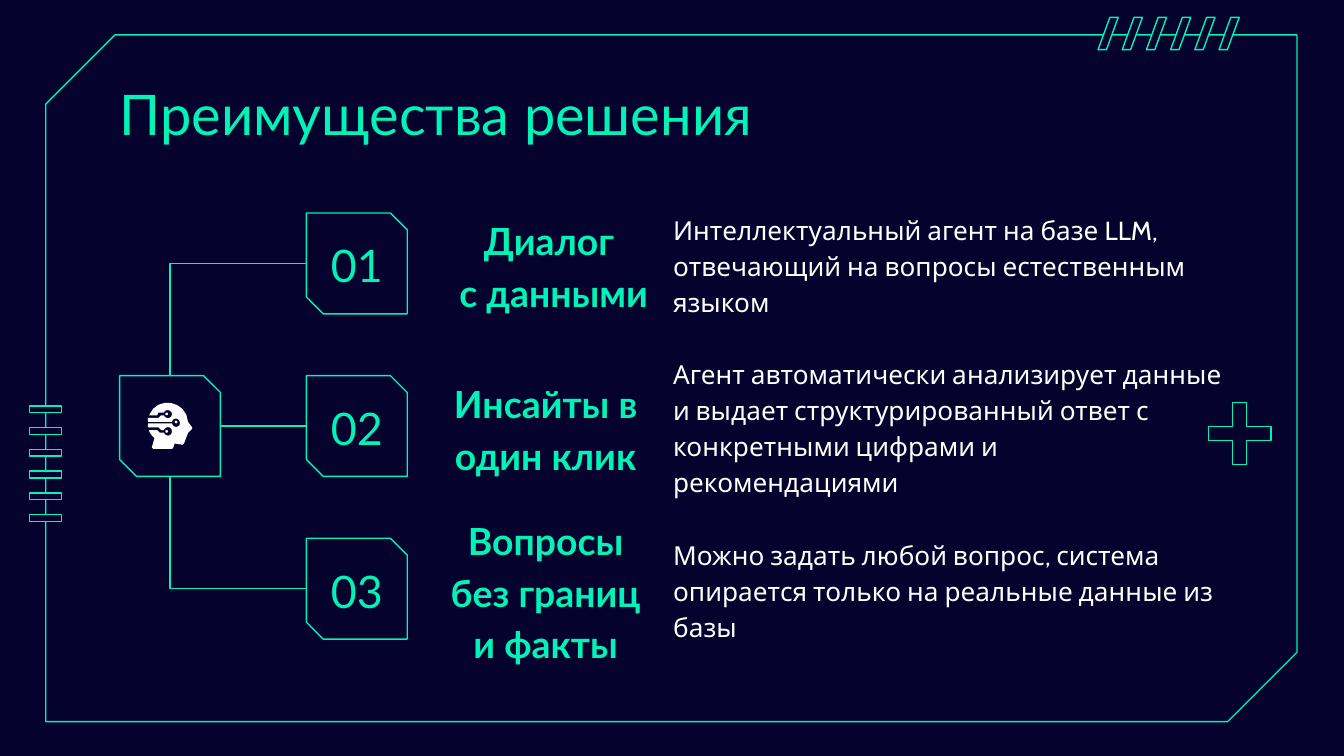
from lxml.etree import SubElement
from pptx import Presentation
from pptx.dml.color import RGBColor
from pptx.enum.shapes import MSO_CONNECTOR, MSO_SHAPE
from pptx.enum.text import MSO_ANCHOR, MSO_AUTO_SIZE, PP_ALIGN
from pptx.oxml.ns import qn
from pptx.util import Inches, Pt

NAVY = RGBColor(0x05, 0x02, 0x2D)
MINT = RGBColor(0x00, 0xF3, 0xB8)
WHITE = RGBColor(0xFF, 0xFF, 0xFF)

# Grid: columns from the left edge, rows by their centres
HUB_LEFT, NUMBER_LEFT, HEADING_LEFT, DETAIL_LEFT = 0.89, 2.28, 3.2, 4.91
MIDDLE_ROW, ROW_STEP = 3.17, 1.21
TILE, TEXT_HEIGHT = 0.75, 0.69
HUB_CENTRE = HUB_LEFT + TILE / 2

TITLE_FONT = {"name": "Lato", "size": Pt(30), "bold": False}
NUMBER_FONT = {"name": "Lato", "size": Pt(24), "bold": False}
HEADING_FONT = {"name": "Lato", "size": Pt(20), "bold": True}
DETAIL_FONT = {"name": "Cabin", "size": Pt(14), "bold": False}

ROWS = [
    ("Диалог \nс данными", 1.84,
     "Интеллектуальный агент на базе LLM, отвечающий на вопросы естественным языком", 4.45),
    ("Инсайты в один клик", 1.72,
     "Агент автоматически анализирует данные и выдает структурированный ответ "
     "с конкретными цифрами и рекомендациями", 4.3),
    ("Вопросы без границ и факты", 1.72,
     "Можно задать любой вопрос, система опирается только на реальные данные из базы", 4.45),
]

# Head outline: pairs are straight steps, sixes are Bézier curves
HEAD = [
    (1.43, 3.18), (1.4, 3.14), (1.39, 2.98, 1.17, 2.94, 1.11, 3.09), (1.17, 3.09),
    (1.18, 3.07), (1.22, 3.07), (1.23, 3.04, 1.28, 3.05, 1.28, 3.08),
    (1.28, 3.12, 1.23, 3.12, 1.22, 3.09), (1.2, 3.09), (1.18, 3.11), (1.1, 3.11),
    (1.1, 3.14), (1.28, 3.14), (1.29, 3.1, 1.34, 3.11, 1.34, 3.15),
    (1.34, 3.18, 1.29, 3.19, 1.28, 3.15), (1.1, 3.15), (1.1, 3.18), (1.17, 3.18),
    (1.18, 3.18), (1.2, 3.2), (1.22, 3.2), (1.23, 3.17, 1.28, 3.17, 1.28, 3.21),
    (1.28, 3.25, 1.23, 3.25, 1.22, 3.22), (1.19, 3.22), (1.17, 3.2), (1.11, 3.2),
    (1.11, 3.22, 1.13, 3.24, 1.15, 3.26), (1.13, 3.33), (1.14, 3.34), (1.28, 3.34),
    (1.29, 3.33), (1.3, 3.3), (1.36, 3.31), (1.37, 3.3), (1.4, 3.22), (1.42, 3.2),
    (1.43, 3.19),
]
CURVE_STEPS = 8

# Widescreen slide, 16 by 9
presentation = Presentation()
presentation.slide_width = Inches(10)
presentation.slide_height = Inches(10 * 9 / 16)
slide = presentation.slides.add_slide(presentation.slide_layouts[5])
slide.background.fill.solid()
slide.background.fill.fore_color.rgb = NAVY


def add_outline(kind, left, top, width, height, adjustments=(), fill=None):
    shape = slide.shapes.add_shape(
        kind, Inches(left), Inches(top), Inches(width), Inches(height))
    shape.shadow.inherit = False
    for index, value in enumerate(adjustments):
        shape.adjustments[index] = value
    if fill is None:
        shape.fill.background()
    else:
        shape.fill.solid()
        shape.fill.fore_color.rgb = fill
    shape.line.color.rgb = MINT
    shape.line.width = Pt(0.75)
    return shape


def write_text(shape, text, font_format, color, anchor, alignment, spacing=1.0):
    frame = shape.text_frame
    frame_format = {"word_wrap": True, "auto_size": MSO_AUTO_SIZE.NONE,
                    "vertical_anchor": anchor, "text": text}
    for side in ("left", "top", "right", "bottom"):
        frame_format[f"margin_{side}"] = Inches(0.1)
    for name, value in frame_format.items():
        setattr(frame, name, value)
    for paragraph in frame.paragraphs:
        paragraph.alignment = alignment
        paragraph.line_spacing = spacing
        for run in paragraph.runs:
            run.font.color.rgb = color
            for name, value in font_format.items():
                setattr(run.font, name, value)


# Frame with its edge ornaments
add_outline(MSO_SHAPE.SNIP_2_DIAG_RECTANGLE, 0.34, 0.26, 9.31, 5.11, (0.101, 0))
for index in range(6):
    add_outline(MSO_SHAPE.RECTANGLE, 0.22, 3.02 + 0.81 * index / 5, 0.24, 0.05, fill=NAVY)
for index in range(6):
    add_outline(MSO_SHAPE.PARALLELOGRAM, 8.17 + 0.18 * index, 0.13, 0.15, 0.24,
                (0.585,), NAVY)

# Title
title = slide.shapes.title
title.left, title.top, title.width, title.height = map(Inches, (0.79, 0.49, 8.43, 0.63))
write_text(title, "Преимущества решения", TITLE_FONT, MINT, MSO_ANCHOR.TOP, PP_ALIGN.LEFT)

# Hub tile
add_outline(MSO_SHAPE.SNIP_2_DIAG_RECTANGLE, HUB_LEFT, MIDDLE_ROW - TILE / 2,
            TILE, TILE, (0, 0.167))

# Numbered rows, each joined to the hub
for index, (heading, heading_width, detail, detail_width) in enumerate(ROWS):
    offset = index - 1
    centre = MIDDLE_ROW + offset * ROW_STEP
    tile = add_outline(MSO_SHAPE.SNIP_2_DIAG_RECTANGLE, NUMBER_LEFT, centre - TILE / 2,
                       TILE, TILE, (0, 0.167))
    write_text(tile, f"{index + 1:02}", NUMBER_FONT, MINT, MSO_ANCHOR.BOTTOM, PP_ALIGN.CENTER)

    for left, width, text, font_format, color, alignment in (
        (HEADING_LEFT, heading_width, heading, HEADING_FONT, MINT, PP_ALIGN.CENTER),
        (DETAIL_LEFT, detail_width, detail, DETAIL_FONT, WHITE, PP_ALIGN.LEFT),
    ):
        box = slide.shapes.add_textbox(Inches(left), Inches(centre - TEXT_HEIGHT / 2),
                                       Inches(width), Inches(TEXT_HEIGHT))
        write_text(box, text, font_format, color, MSO_ANCHOR.MIDDLE, alignment, 1.15)

    kind = MSO_CONNECTOR.ELBOW if offset else MSO_CONNECTOR.STRAIGHT
    end_x = HUB_CENTRE if offset else HUB_LEFT + TILE
    connector = slide.shapes.add_connector(
        kind, Inches(NUMBER_LEFT), Inches(centre),
        Inches(end_x), Inches(MIDDLE_ROW + offset * TILE / 2))
    connector.line.color.rgb = MINT
    connector.line.width = Pt(0.75)
    properties = connector._element.spPr
    SubElement(properties, qn("a:effectLst"))
    if offset:
        properties.find(qn("a:prstGeom")).set("prst", "bentConnector2")

# Head icon in the hub
points = [HEAD[0]]
for segment in HEAD[1:]:
    if len(segment) == 2:
        points.append(segment)
        continue
    controls = [points[-1], segment[:2], segment[2:4], segment[4:]]
    for step in range(1, CURVE_STEPS + 1):
        t = step / CURVE_STEPS
        weights = ((1 - t) ** 3, 3 * t * (1 - t) ** 2, 3 * t ** 2 * (1 - t), t ** 3)
        points.append(tuple(sum(weight * control[axis]
                                for weight, control in zip(weights, controls))
                            for axis in (0, 1)))
vertices = [(Inches(x), Inches(y)) for x, y in points]
builder = slide.shapes.build_freeform(*vertices[0])
builder.add_line_segments(vertices[1:], close=True)
icon_parts = [builder.convert_to_shape()]
for left, top in ((1.23, 3.07), (1.3, 3.13), (1.23, 3.2)):
    icon_parts.append(slide.shapes.add_shape(
        MSO_SHAPE.OVAL, Inches(left), Inches(top), Inches(0.02), Inches(0.02)))
for part in icon_parts:
    part.shadow.inherit = False
    part.fill.solid()
    part.fill.fore_color.rgb = WHITE
    part.line.fill.background()

# Plus ornament
add_outline(MSO_SHAPE.MATH_PLUS, 8.91, 2.91, 0.63, 0.63, (0.164,))

presentation.save("out.pptx")
